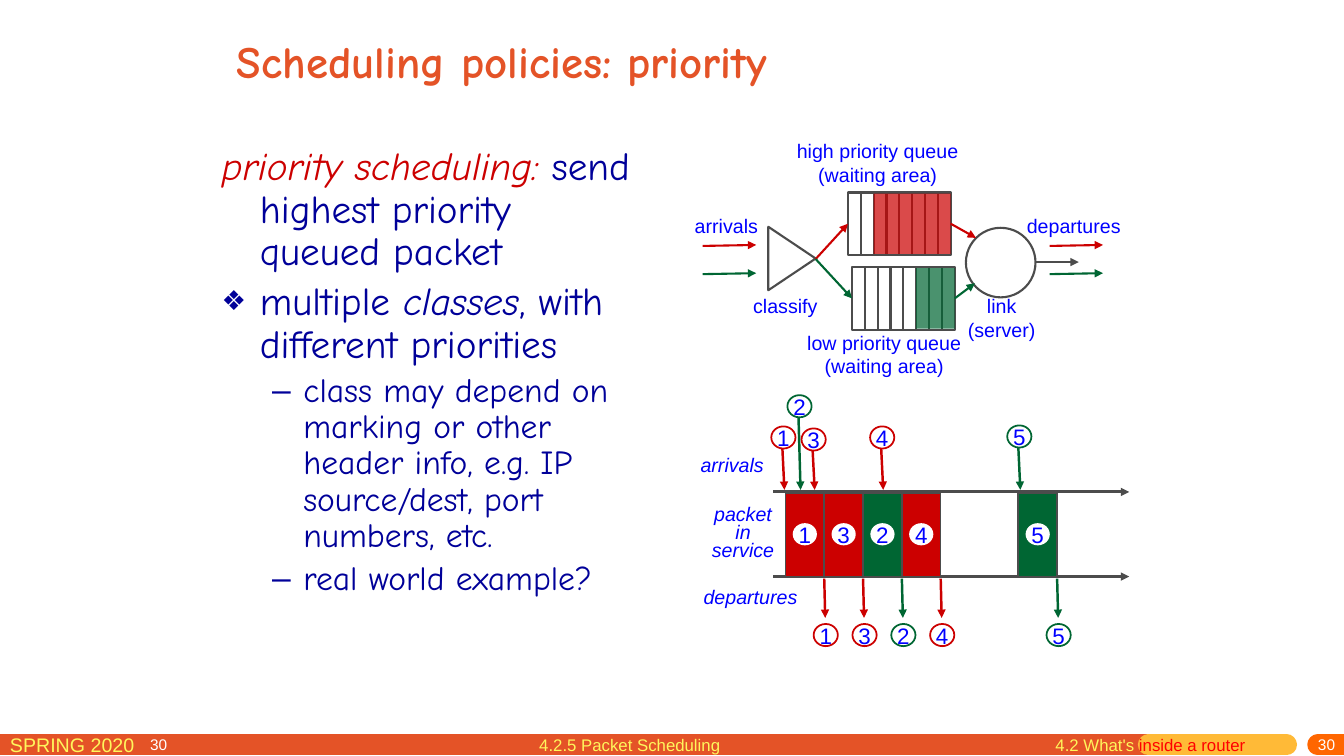
"""Build the slide on priority scheduling of packets."""
from lxml import etree
from pptx import Presentation
from pptx.dml.color import RGBColor
from pptx.enum.shapes import MSO_CONNECTOR, MSO_SHAPE
from pptx.enum.text import MSO_ANCHOR, MSO_AUTO_SIZE, PP_ALIGN
from pptx.oxml.ns import qn
from pptx.util import Pt

PX = 9144
LEFT, CENTER, RIGHT = PP_ALIGN.LEFT, PP_ALIGN.CENTER, PP_ALIGN.RIGHT
TOP, MIDDLE = MSO_ANCHOR.TOP, MSO_ANCHOR.MIDDLE
RECTANGLE, OVAL = MSO_SHAPE.RECTANGLE, MSO_SHAPE.OVAL
TRIANGLE = MSO_SHAPE.ISOSCELES_TRIANGLE
STRAIGHT = MSO_CONNECTOR.STRAIGHT
NO_AUTOFIT = MSO_AUTO_SIZE.NONE

COLORS = {
    "orange": "E45327", "amber": "FFBA37", "number": "FF6600",
    "yellow": "FFF65C", "white": "FFFFFF", "bright red": "FF0000",
    "red": "CC0000", "green": "006633", "grey": "4C4C4C",
    "blue": "0000FF", "navy": "000099",
}
SANS, HAND = "Arial", "Comic Neue"

QUEUE_WIDTH, QUEUE_HEIGHT, QUEUE_SLOTS = 102, 62, 8
SERVICE_LEFT, SERVICE_TOP, SERVICE_BOTTOM, SLOT_WIDTH = 779, 489, 572, 38.5
BADGE_WIDTH, BADGE_HEIGHT = 24, 22

PACKETS = [
    ("1", "red", 777, 423, 0),
    ("3", "red", 807, 425, 1),
    ("2", "green", 793, 392, 2),
    ("4", "red", 875, 423, 3),
    ("5", "green", 1011, 422, 6),
]
BODY = [
    (0, "", 28, [("priority scheduling: ", "red", True),
                 ("send highest priority queued packet", "navy", False)]),
    (0, "❖", 28, [("multiple ", "navy", False), ("classes", "navy", True),
                  (", with different priorities", "navy", False)]),
    (1, "–", 24, [("class may depend on marking or other header info, "
                   "e.g. IP source/dest, port numbers, etc.", "navy", False)]),
    (1, "–", 24, [("real world example?", "navy", False)]),
]
INDENTS = [(38, -38), (81, -31)]
DIAGRAM_LABELS = [
    ("high priority queue\n(waiting area)", 777, 133, 187, 57),
    ("low priority queue\n(waiting area)", 790, 323, 174, 57),
    ("arrivals", 679, 207, 83, 34),
    ("classify", 736, 287, 86, 34),
    ("departures", 1008, 207, 114, 34),
    ("link\n(server)", 947, 287, 93, 57),
]


def px(length):
    """Turn px into EMU."""
    return round(length * PX)


def rgb(name):
    """Look up a colour by name."""
    return RGBColor.from_string(COLORS[name])


def style_span(span, size, color, font=SANS, italic=False, bold=False):
    """Format one run."""
    span.font.size, span.font.name = Pt(size), font
    span.font.italic, span.font.bold = italic, bold
    span.font.color.rgb = rgb(color)


def add_text(page, text, left, top, width, height, size=14, color="blue",
             align=LEFT, italic=False, wrap=False):
    """Add a text box in a single style."""
    box = page.shapes.add_textbox(px(left), px(top), px(width), px(height))
    frame = box.text_frame
    frame.text, frame.word_wrap = text, wrap
    for para in frame.paragraphs:
        para.alignment = align
        for span in para.runs:
            style_span(span, size, color, italic=italic)
    return box


def add_line(page, start, end, color, weight=1.5, arrow=False, cap=None):
    """Draw a straight line, with an arrowhead if wanted."""
    line = page.shapes.add_connector(STRAIGHT, *map(px, start + end))
    line.line.color.rgb, line.line.width = rgb(color), Pt(weight)
    properties = line._element.spPr
    outline = properties.find(qn("a:ln"))
    if arrow:
        etree.SubElement(outline, qn("a:tailEnd"), type="triangle")
    if cap:
        outline.set("cap", cap)
    etree.SubElement(properties, qn("a:effectLst"))
    return line


def add_figure(page, kind, left, top, width, height, fill=None, line=None,
               weight=1.5, opacity=None):
    """Add a preset shape without shadow."""
    box = page.shapes.add_shape(kind, px(left), px(top), px(width), px(height))
    box.shadow.inherit = False
    if fill:
        box.fill.solid()
        box.fill.fore_color.rgb = rgb(fill)
    else:
        box.fill.background()
    if opacity:
        shade = box._element.spPr.find(qn("a:solidFill"))[0]
        etree.SubElement(shade, qn("a:alpha"), val=str(opacity * 1000))
    if line:
        box.line.color.rgb, box.line.width = rgb(line), Pt(weight)
    else:
        box.line.fill.background()
    return box


def add_badge(page, number, center, top, line=None):
    """Add a white oval holding a packet number."""
    badge = add_figure(page, OVAL, center - BADGE_WIDTH / 2, top, BADGE_WIDTH,
                       BADGE_HEIGHT, "white", line, 1.25)
    frame = badge.text_frame
    frame.text, frame.word_wrap, frame.vertical_anchor = number, False, MIDDLE
    frame.margin_left = frame.margin_right = 0
    frame.margin_top = frame.margin_bottom = 0
    frame.paragraphs[0].alignment = CENTER
    style_span(frame.paragraphs[0].runs[0], 16, "blue")


def add_queue(page, left, top, color, first_filled):
    """Draw a queue whose slots are filled from the given one onwards."""
    queue = add_figure(page, RECTANGLE, left, top, QUEUE_WIDTH, QUEUE_HEIGHT, line="grey")
    step = QUEUE_WIDTH / QUEUE_SLOTS
    for slot in range(1, QUEUE_SLOTS):
        x = left + slot * step
        add_line(page, (x, top + 1), (x, top + QUEUE_HEIGHT), "grey")
    add_figure(page, RECTANGLE, left + first_filled * step, top + 1,
               QUEUE_WIDTH - first_filled * step, QUEUE_HEIGHT - 2, color, opacity=71)
    return queue


def add_title(page):
    """Place and format the title."""
    title = page.shapes.title
    title.left, title.top, title.width, title.height = map(px, (225, -2, 850, 125))
    frame = title.text_frame
    frame.text, frame.vertical_anchor = "Scheduling policies: priority", MIDDLE
    frame.auto_size = NO_AUTOFIT
    frame.paragraphs[0].alignment = LEFT
    style_span(frame.paragraphs[0].runs[0], 32, "orange", HAND, bold=True)


def add_body(page):
    """Add the explanation with its bullets."""
    box = page.shapes.add_textbox(px(210), px(141), px(425), px(558))
    frame = box.text_frame
    frame.word_wrap = True
    for index, (level, bullet, size, pieces) in enumerate(BODY):
        para = frame.add_paragraph() if index else frame.paragraphs[0]
        para.level, para.line_spacing, para.space_before = level, 0.9, Pt(size * 0.2)
        properties = para._p.get_or_add_pPr()
        margin, indent = INDENTS[level]
        properties.set("marL", str(px(margin)))
        properties.set("indent", str(px(indent)))
        if bullet:
            percent = 100 if level else 70
            etree.SubElement(properties, qn("a:buSzPct"), val=str(percent * 1000))
            etree.SubElement(properties, qn("a:buFont"), typeface=SANS)
            etree.SubElement(properties, qn("a:buChar"), char=bullet)
        for text, color, italic in pieces:
            span = para.add_run()
            span.text = text
            style_span(span, size, color, HAND, italic)


def add_router(page):
    """Draw the classifier, both queues and the link."""
    low = add_queue(page, 845, 265, "green", 5)
    high = add_queue(page, 841, 191, "red", 2)
    add_figure(page, TRIANGLE, 754, 233, 63, 47, line="grey").rotation = 90
    add_figure(page, OVAL, 958, 226, 69, 69, line="grey")
    for queue, color, link_end in ((high, "red", (968, 236)), (low, "green", (967, 281))):
        add_line(page, (809, 257), (841, 222), color, arrow=True).end_connect(queue, 1)
        add_line(page, (944, 222), link_end, color, arrow=True).begin_connect(queue, 3)
    for left in (697, 1041):
        for y, color in ((244, "red"), (272, "green")):
            add_line(page, (left, y), (left + 53, y - 1), color, arrow=True)
    add_line(page, (1027, 260), (1070, 260), "grey", arrow=True)
    for label in DIAGRAM_LABELS:
        add_text(page, *label, align=CENTER)


def add_timeline(page):
    """Draw each packet's arrival, service and departure."""
    for y in (488, 572):
        add_line(page, (767, y), (1120, y), "grey", 2, arrow=True)
    for number, color, arrival, top, slot in PACKETS:
        left = SERVICE_LEFT + slot * SLOT_WIDTH
        right = left + SLOT_WIDTH
        add_figure(page, RECTANGLE, left, SERVICE_TOP, SLOT_WIDTH,
                   SERVICE_BOTTOM - SERVICE_TOP, color, "grey", 1.25)
        add_badge(page, number, (left + right) / 2, 519)
        add_line(page, (arrival - 1, top + BADGE_HEIGHT), (arrival + 1, 486),
                 color, 1.75, arrow=True)
        add_badge(page, number, arrival, top, color)
        add_line(page, (right, 574), (right + 1, 613), color, 1.75, arrow=True)
        add_badge(page, number, right + 1.5, 619, color)
    add_text(page, "arrivals", 685, 444, 83, 34, italic=True)
    add_text(page, "departures", 688, 575, 114, 34, italic=True)
    service = add_text(page, "packet in service", 690, 499, 94, 65,
                       align=CENTER, italic=True, wrap=True)
    service.text_frame.paragraphs[0].line_spacing = Pt(12.8)


def add_footer(page):
    """Draw the footer bar and its texts."""
    for start, end, color, cap in ((0, 1139, "orange", "flat"), (1139, 1276, "amber", "rnd"),
                                   (1307, 1333, "number", "rnd")):
        add_line(page, (start, 739), (end, 739), color, 15, cap=cap)
    add_text(page, "SPRING 2020", 0, 722, 229, 31, color="yellow", wrap=True)
    for left, top, width, height, align in ((1075, 732, 259, 18, RIGHT),
                                            (139, 733, 55, 15, LEFT)):
        frame = add_text(page, "30", left, top, width, height, 11, "white",
                         align, wrap=True).text_frame
        frame.margin_top, frame.margin_bottom = 0, px(5)
        frame.vertical_anchor = MIDDLE
    section = add_text(page, "4.2 What's ", 1037, 724, 220, 31, 12, "yellow", wrap=True)
    span = section.text_frame.paragraphs[0].add_run()
    span.text = "inside a router"
    style_span(span, 12, "bright red")
    add_text(page, "4.2.5 Packet Scheduling", 525, 724, 276, 31, 12, "yellow", wrap=True)


def main():
    """Build and save the deck."""
    deck = Presentation()
    deck.slide_width, deck.slide_height = px(1333), px(750)
    page = deck.slides.add_slide(deck.slide_layouts[5])
    add_footer(page)
    add_title(page)
    add_body(page)
    add_router(page)
    add_timeline(page)
    deck.save("out.pptx")


if __name__ == "__main__":
    main()
